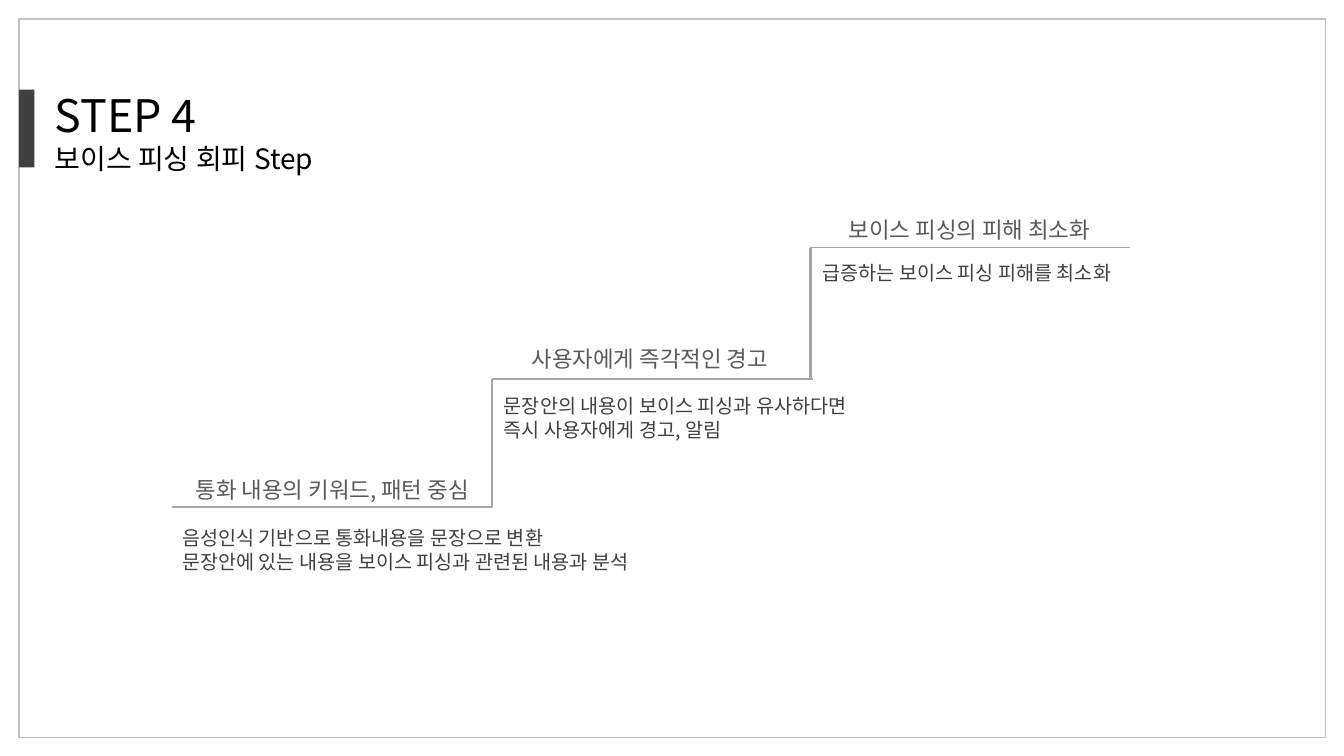
from pptx import Presentation
from pptx.dml.color import RGBColor
from pptx.enum.shapes import MSO_CONNECTOR as Connector, MSO_SHAPE as Shape
from pptx.enum.text import MSO_ANCHOR as Anchor, PP_ALIGN as Align
from pptx.oxml.ns import qn
from pptx.util import Pt
from lxml.etree import SubElement

EMU_PER_PX = 9144


def px(length):
    return length * EMU_PER_PX


def color(hex_string):
    return RGBColor.from_string(hex_string)


def write(paragraph, text, *, font, size, fill, align=Align.LEFT):
    paragraph.alignment = align
    paragraph.line_spacing = Pt(round(size * 1.2, 1))
    run = paragraph.add_run()
    run.text = text
    run.font.name = font
    run.font.size = Pt(size)
    run.font.color.rgb = color(fill)
    SubElement(run.font._element, qn("a:ea"), typeface=font)


class StepSlide:
    font = "Noto Sans CJK KR"
    title_color = "000000"
    heading_color = "595959"
    body_color = "404040"
    line_color = "A6A6A6"
    frame_color = "BFBFBF"

    def __init__(self, presentation):
        self.slide = presentation.slides.add_slide(presentation.slide_layouts[5])

    def fill_text(self, shape, lines, sizes, **style):
        frame = shape.text_frame
        frame.word_wrap = True
        frame.vertical_anchor = Anchor.TOP
        for index, (line, size) in enumerate(zip(lines, sizes)):
            paragraph = frame.add_paragraph() if index else frame.paragraphs[0]
            write(paragraph, line, font=self.font, size=size, **style)

    def title(self, left, top, width, height, lines, sizes):
        shape = self.slide.shapes.title
        shape.left, shape.top, shape.width, shape.height = map(px, (left, top, width, height))
        self.fill_text(shape, lines, sizes, fill=self.title_color)

    def text(self, left, top, width, height, lines, size, **style):
        shape = self.slide.shapes.add_textbox(*map(px, (left, top, width, height)))
        self.fill_text(shape, lines, [size] * len(lines), **style)

    def rectangle(self, left, top, width, height, fill=None, line=None):
        shape = self.slide.shapes.add_shape(Shape.RECTANGLE, *map(px, (left, top, width, height)))
        shape.shadow.inherit = False
        if fill:
            shape.fill.solid()
            shape.fill.fore_color.rgb = color(fill)
        else:
            shape.fill.background()
        if line:
            shape.line.color.rgb = color(line)
            shape.line.width = Pt(1)
        else:
            shape.line.fill.background()

    def line(self, start, end, width):
        connector = self.slide.shapes.add_connector(Connector.STRAIGHT, *map(px, (*start, *end)))
        connector.line.color.rgb = color(self.line_color)
        connector.line.width = Pt(width)
        SubElement(connector._element.spPr, qn("a:effectLst"))

    def step(self, left, level, heading, heading_box, body, body_box):
        self.line((left, level), (left + 318, level), 0.75)
        self.text(*heading_box, 431, 37, [heading], 16, fill=self.heading_color, align=Align.CENTER)
        self.text(*body_box, 526, 20 * len(body) + 17, body, 14, fill=self.body_color)


STEPS = [
    (171, 503, "통화 내용의 키워드, 패턴 중심", (114, 467),
     ["음성인식 기반으로 통화내용을 문장으로 변환",
      "문장안에 있는 내용을 보이스 피싱과 관련된 내용과 분석"], (171, 517)),
    (488, 376, "사용자에게 즉각적인 경고", (429, 337),
     ["문장안의 내용이 보이스 피싱과 유사하다면", "즉시 사용자에게 경고, 알림"], (490, 386)),
    (803, 246, "보이스 피싱의 피해 최소화", (746, 210),
     ["급증하는 보이스 피싱 피해를 최소화"], (806, 254)),
]


def main():
    presentation = Presentation()
    presentation.slide_width, presentation.slide_height = px(1333), px(750)
    page = StepSlide(presentation)
    page.rectangle(19, 19, 1296, 713, line=page.frame_color)
    page.rectangle(19, 89, 15, 77, fill=page.body_color)
    page.title(44, 82, 531, 98, ["STEP 4", "보이스 피싱 회피 Step"], [32, 20])
    for step in STEPS:
        page.step(*step)
    for riser, top, bottom in [(488, 376, 503), (804, 246, 377)]:
        page.line((riser, top), (riser, bottom), 2)
    presentation.save("out.pptx")


if __name__ == "__main__":
    main()
